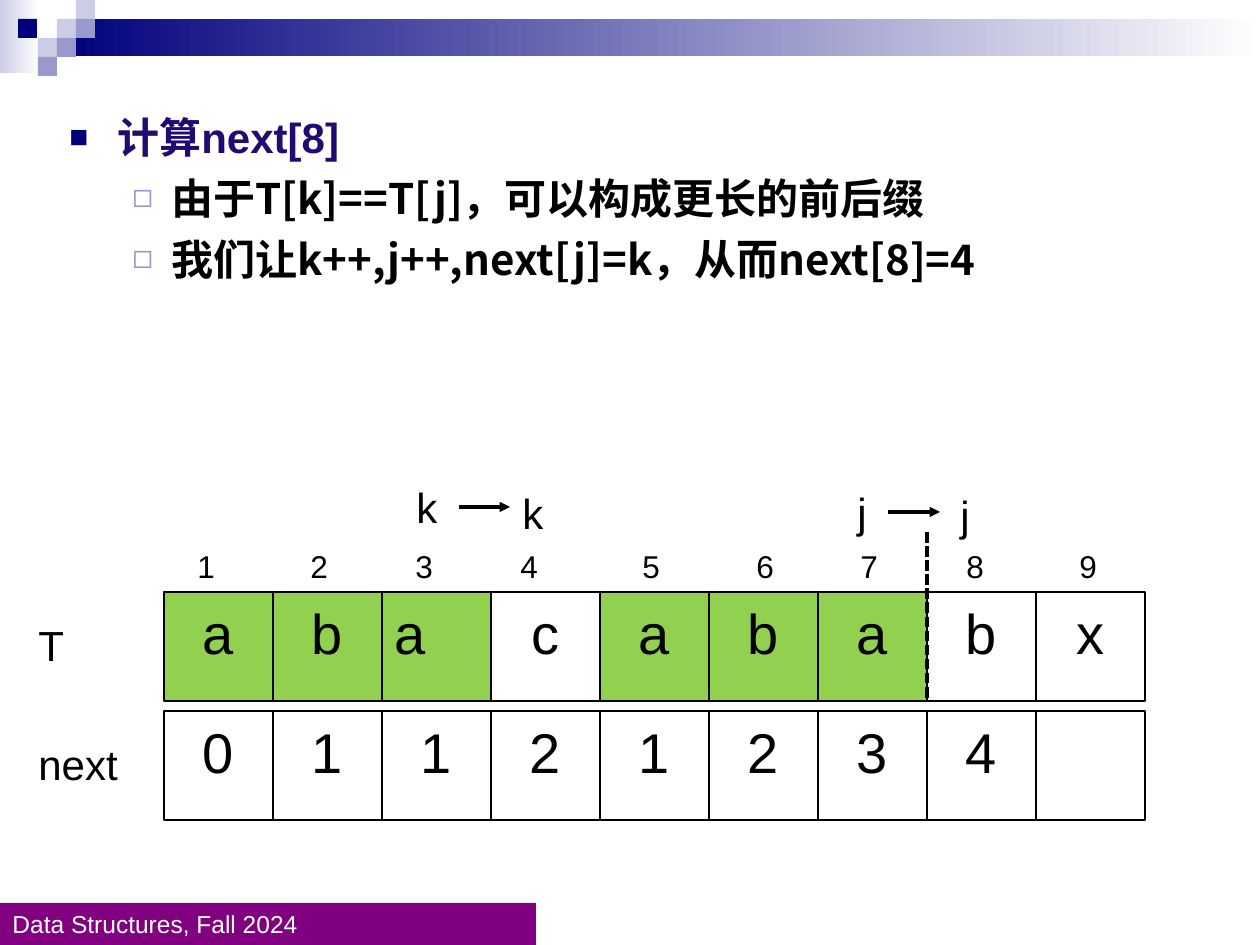
import pptx
import pptx.util
import pptx.dml.color
import pptx.enum.dml
import pptx.enum.shapes
import pptx.enum.text
import pptx.oxml
import pptx.oxml.ns

COLORS = {
    "navy": "00007D", "lavender": "CCCCE6", "periwinkle": "9999CC",
    "white": "FFFFFF", "black": "000000", "purple": "800080",
    "indigo": "210B73", "green": "92D050",
}
SCALE = 914400 / 126
LATIN = "Arial"
CJK = "Noto Sans CJK SC"
CELL = 109
ROW_LEFT = 164
ALIGN = pptx.enum.text.PP_ALIGN


def px(length):
    return pptx.util.Emu(round(length * SCALE))


def rgb(name):
    return pptx.dml.color.RGBColor.from_string(COLORS[name])


def add_xml(parent, tag, **attributes):
    element = pptx.oxml.parse_xml(f"<a:{tag} {pptx.oxml.ns.nsdecls('a')}/>")
    for key, value in attributes.items():
        element.set(key, str(value))
    parent.append(element)
    return element


def style_text(paragraph, size, color="black", font=LATIN, bold=False):
    for run in paragraph.runs:
        run.font.size = pptx.util.Pt(size)
        run.font.name = font
        run.font.bold = bold
        run.font.color.rgb = rgb(color)
        add_xml(run.font._element, "ea", typeface=CJK)


def add_block(slide, box, color, end_color=None):
    block = slide.shapes.add_shape(
        pptx.enum.shapes.MSO_SHAPE.RECTANGLE, *map(px, box))
    block.shadow.inherit = False
    block.line.fill.background()
    if end_color:
        block.fill.gradient()
        block.fill.gradient_angle = 0
        for stop, position, name in zip(
                block.fill.gradient_stops, (0, 1), (color, end_color)):
            stop.position = position
            stop.color.rgb = rgb(name)
    else:
        block.fill.solid()
        block.fill.fore_color.rgb = rgb(color)
    return block


def write_block(block, text, size, color, align):
    frame = block.text_frame
    frame.vertical_anchor = pptx.enum.text.MSO_ANCHOR.TOP
    frame.text = text
    frame.paragraphs[0].alignment = align
    style_text(frame.paragraphs[0], size, color)


def add_label(slide, box, text, size):
    label = slide.shapes.add_textbox(*map(px, box))
    label.text_frame.word_wrap = True
    label.text_frame.text = text
    style_text(label.text_frame.paragraphs[0], size)
    return label


def add_line(slide, start, end, width):
    line = slide.shapes.add_connector(
        pptx.enum.shapes.MSO_CONNECTOR.STRAIGHT, *map(px, start + end))
    line.line.color.rgb = rgb("black")
    line.line.width = pptx.util.Pt(width)
    add_xml(line._element.spPr, "effectLst")
    return line


def add_arrow(slide, start, end):
    arrow = add_line(slide, start, end, 1.75)
    add_xml(arrow.line._get_or_add_ln(), "tailEnd", type="triangle")


def add_bullet(paragraph, symbol, color, percent, margin, hanging):
    properties = paragraph._p.get_or_add_pPr()
    properties.set("marL", str(px(margin)))
    properties.set("indent", str(-px(hanging)))
    bullet_color = add_xml(properties, "buClr")
    add_xml(bullet_color, "srgbClr", val=COLORS[color])
    add_xml(properties, "buSzPct", val=percent * 1000)
    add_xml(properties, "buFont", typeface=LATIN)
    add_xml(properties, "buChar", char=symbol)


def add_header(slide):
    add_block(slide, (0, 0, 39, 73), "lavender", "white")
    add_block(slide, (57, 19, 1203, 37), "navy", "white")
    tile = 19
    for left, top, color in (
            (57, 19, "lavender"), (76, 0, "lavender"), (76, 19, "periwinkle"),
            (38, 38, "lavender"), (18, 19, "navy"), (57, 38, "periwinkle"),
            (38, 57, "periwinkle")):
        add_block(slide, (left, top, tile, tile), color)


def add_explanation(slide):
    explanation = slide.shapes.add_textbox(*map(px, (57, 105, 1134, 515)))
    frame = explanation.text_frame
    frame.word_wrap = True
    frame.text = "计算next[8]"
    heading = frame.paragraphs[0]
    add_bullet(heading, "■", "navy", 75, 48, 48)
    style_text(heading, 24, "indigo", bold=True)
    for text in ("由于T[k]==T[j]，可以构成更长的前后缀",
                 "我们让k++,j++,next[j]=k，从而next[8]=4"):
        step = frame.add_paragraph()
        step.text = text
        step.level = 1
        step.space_before = pptx.util.Pt(6)
        add_bullet(step, "◻", "periwinkle", 80, 102, 39)
        style_text(step, 24, font=CJK, bold=True)


def add_array(slide, top, name, values, matched=()):
    add_label(slide, (26, top + 21, 110, 63), name, 24)
    for index, value in enumerate(values):
        color = "green" if index in matched else "white"
        cell = add_block(
            slide, (ROW_LEFT + index * CELL, top, CELL, CELL), color)
        cell.line.color.rgb = rgb("black")
        cell.line.width = pptx.util.Pt(1.25 if index < 6 else 0.75)
        if value:
            off_center = name == "T" and index == 2
            align = ALIGN.LEFT if off_center else ALIGN.CENTER
            write_block(cell, value, 32, "black", align)


def add_indices(slide):
    numbers = "".join(f"\t{number}" for number in range(1, 10))
    indices = add_label(slide, (123, 541, 1062, 50), numbers, 18)
    properties = indices.text_frame.paragraphs[0]._p.get_or_add_pPr()
    tabs = add_xml(properties, "tabLst")
    for offset in (62, 175, 280, 385, 507, 621, 725, 831, 944):
        add_xml(tabs, "tab", pos=px(offset), algn="l")


def add_pointers(slide):
    for left, top, name in ((404, 475, "k"), (510, 481, "k"),
                            (845, 480, "j"), (948, 483, "j")):
        add_label(slide, (left, top, 110, 63), name, 24)
    add_arrow(slide, (459, 507), (510, 507))
    add_arrow(slide, (888, 512), (940, 512))


def main():
    deck = pptx.Presentation()
    deck.slide_width, deck.slide_height = px(1260), px(945)
    slide = deck.slides.add_slide(deck.slide_layouts[6])
    add_header(slide)
    footer = add_block(slide, (0, 903, 536, 42), "purple")
    write_block(footer, "Data Structures, Fall 2024", 14, "white", ALIGN.LEFT)
    add_explanation(slide)
    add_array(slide, 592, "T", "abacababx", matched=(0, 1, 2, 4, 5, 6))
    add_array(slide, 711, "next", [*"01121234", ""])
    divider = add_line(slide, (927, 532), (927, 701), 2)
    divider.line.dash_style = pptx.enum.dml.MSO_LINE.SQUARE_DOT
    add_indices(slide)
    add_pointers(slide)
    deck.save("out.pptx")


if __name__ == "__main__":
    main()
